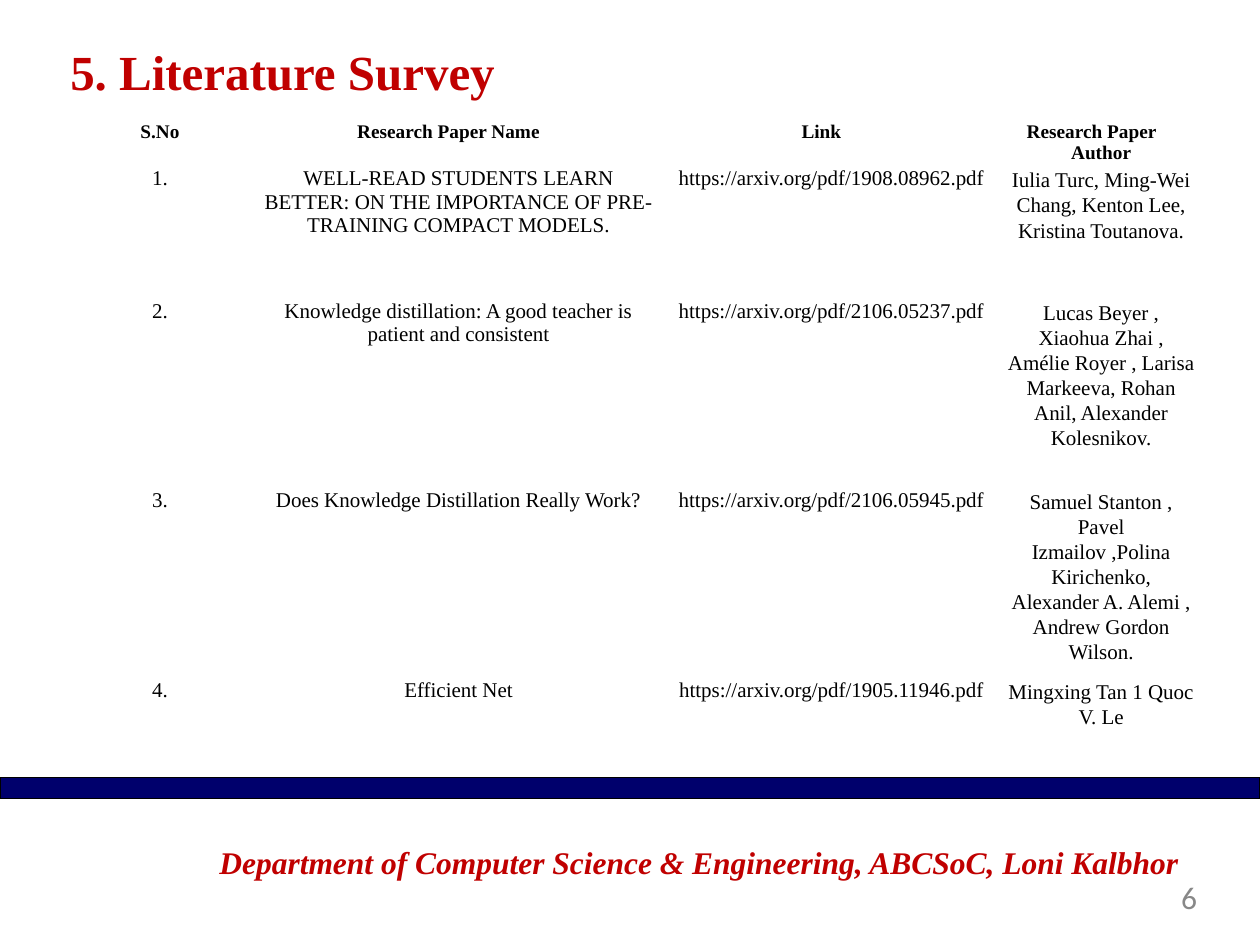
from pptx import Presentation
from pptx import util as u
from pptx.dml.color import RGBColor
from pptx.enum import shapes, text

COLORS = {"red": "C00000", "navy": "00006C", "black": "000000", "grey": "888888"}
SERIF = "Times New Roman"
CENTER = text.PP_ALIGN.CENTER

COLUMN_WIDTHS = [1.46, 3.28, 2.64, 1.65]
ROW_HEIGHTS = [0.36, 1.05, 1.5, 1.5, 0.65]
HEADINGS = ["S.No", "Research Paper Name", "Link", "Research Paper\nAuthor"]
HEADING_INDENTS = [[0.16], [0], [0], [0, 0.15]]
BODY_INDENTS = [0.16, 0.16, 0.16, 0.15]
PAPERS = [
    ("WELL-READ STUDENTS LEARN BETTER: ON THE IMPORTANCE OF PRE-TRAINING COMPACT MODELS.",
     "https://arxiv.org/pdf/1908.08962.pdf",
     "Iulia Turc, Ming-Wei Chang, Kenton Lee, Kristina Toutanova."),
    ("Knowledge distillation: A good teacher is patient and consistent",
     "https://arxiv.org/pdf/2106.05237.pdf",
     "Lucas Beyer , Xiaohua Zhai , Amélie Royer , Larisa Markeeva, Rohan Anil, "
     "Alexander Kolesnikov."),
    ("Does Knowledge Distillation Really Work?",
     "https://arxiv.org/pdf/2106.05945.pdf",
     "Samuel Stanton , Pavel Izmailov ,Polina Kirichenko, Alexander A. Alemi , "
     "Andrew Gordon Wilson."),
    ("Efficient Net",
     "https://arxiv.org/pdf/1905.11946.pdf",
     "Mingxing Tan 1 Quoc V. Le"),
]


class SlideWriter:
    def __init__(self, page):
        self.page = page

    def style(self, para, size, color="black", font=SERIF, bold=False, italic=False,
              align=None, indent=0):
        para.font.size = u.Pt(size)
        para.font.name = font
        para.font.bold = bold
        para.font.italic = italic
        para.font.color.rgb = RGBColor.from_string(COLORS[color])
        para.alignment = align
        if indent:
            para._p.get_or_add_pPr().set("marL", str(u.Inches(indent)))

    def bar(self, left, top, width, height):
        bar = self.page.shapes.add_shape(
            shapes.MSO_SHAPE.RECTANGLE, *map(u.Inches, (left, top, width, height)))
        bar.shadow.inherit = False
        bar.fill.solid()
        bar.fill.fore_color.rgb = RGBColor.from_string(COLORS["navy"])
        bar.line.color.rgb = RGBColor.from_string(COLORS["black"])
        bar.line.width = u.Pt(0.75)

    def label(self, content, left, top, width, height, size, color,
              anchor=text.MSO_ANCHOR.TOP, margins=(0, 0, 0, 0), **look):
        """Margins are left, top, right, bottom in inches."""
        box = self.page.shapes.add_textbox(*map(u.Inches, (left, top, width, height)))
        frame = box.text_frame
        frame.word_wrap = True
        frame.vertical_anchor = anchor
        (frame.margin_left, frame.margin_top,
         frame.margin_right, frame.margin_bottom) = map(u.Inches, margins)
        frame.text = content
        self.style(frame.paragraphs[0], size, color, **look)

    def cell(self, cell, content, size, indents, bold=False, before=0.3, spacing=None):
        """Fill a table cell; each line of content takes its own left indent."""
        cell.fill.background()
        cell.margin_left = cell.margin_right = cell.margin_top = cell.margin_bottom = 0
        cell.text = content
        for para, indent in zip(cell.text_frame.paragraphs, indents):
            self.style(para, size, bold=bold, align=CENTER, indent=indent)
            para.line_spacing = spacing
        cell.text_frame.paragraphs[0].space_before = u.Pt(before)

    def survey_table(self, left, top):
        frame = self.page.shapes.add_table(
            len(ROW_HEIGHTS), len(COLUMN_WIDTHS), u.Inches(left), u.Inches(top),
            u.Inches(sum(COLUMN_WIDTHS)), u.Inches(sum(ROW_HEIGHTS)))
        table = frame.table
        table.first_row = table.horz_banding = False
        for column, width in zip(table.columns, COLUMN_WIDTHS):
            column.width = u.Inches(width)
        for row, height in zip(table.rows, ROW_HEIGHTS):
            row.height = u.Inches(height)
        for column, heading in enumerate(HEADINGS):
            self.cell(table.cell(0, column), heading, 11, HEADING_INDENTS[column],
                      bold=True, before=0.4 if column else 0.2)
        for row, paper in enumerate(PAPERS, 1):
            for column, content in enumerate((f"{row}.", *paper)):
                self.cell(table.cell(row, column), content, 12, [BODY_INDENTS[column]],
                          before=(0.3, 0.3, 3, 0.2)[column],
                          spacing=1.08 if column == 3 else None)


def main():
    deck = Presentation()
    deck.slide_width, deck.slide_height = u.Inches(10), u.Inches(7.5)
    writer = SlideWriter(deck.slides.add_slide(deck.slide_layouts[6]))
    writer.bar(0, 6.17, 10, 0.17)
    writer.label("6", 7.2, 6.97, 2.3, 0.38, 18, "grey", font="Calibri",
                 align=text.PP_ALIGN.RIGHT)
    writer.label("5. Literature Survey", 0.46, 0.25, 8.76, 0.63, 28, "red", bold=True,
                 anchor=text.MSO_ANCHOR.MIDDLE, margins=(0.1, 0.05, 0.1, 0.05))
    writer.label("Department of Computer Science & Engineering, ABCSoC, Loni Kalbhor",
                 1.51, 6.68, 8.07, 0.74, 18, "red", bold=True, italic=True,
                 align=CENTER, indent=0.01, margins=(0, 0.01, 0, 0))
    writer.survey_table(0.46, 0.96)
    deck.save("out.pptx")


if __name__ == "__main__":
    main()
